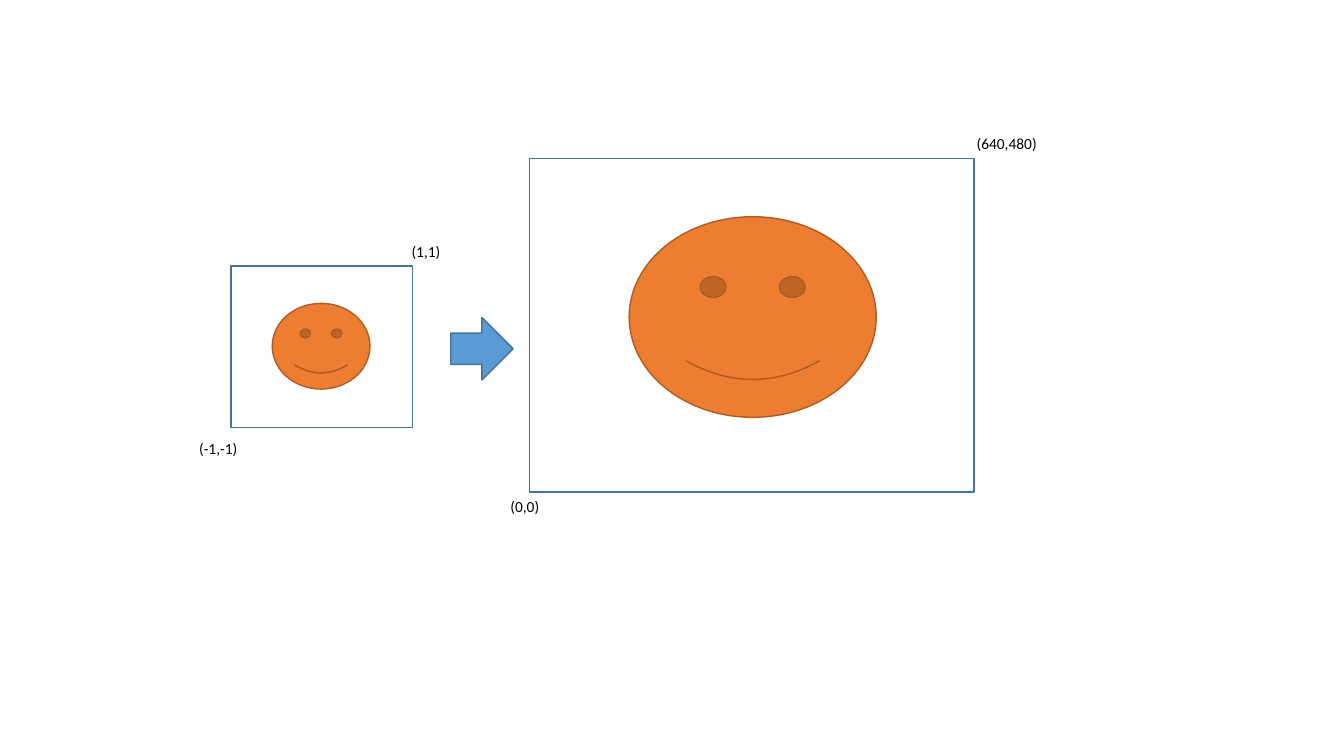
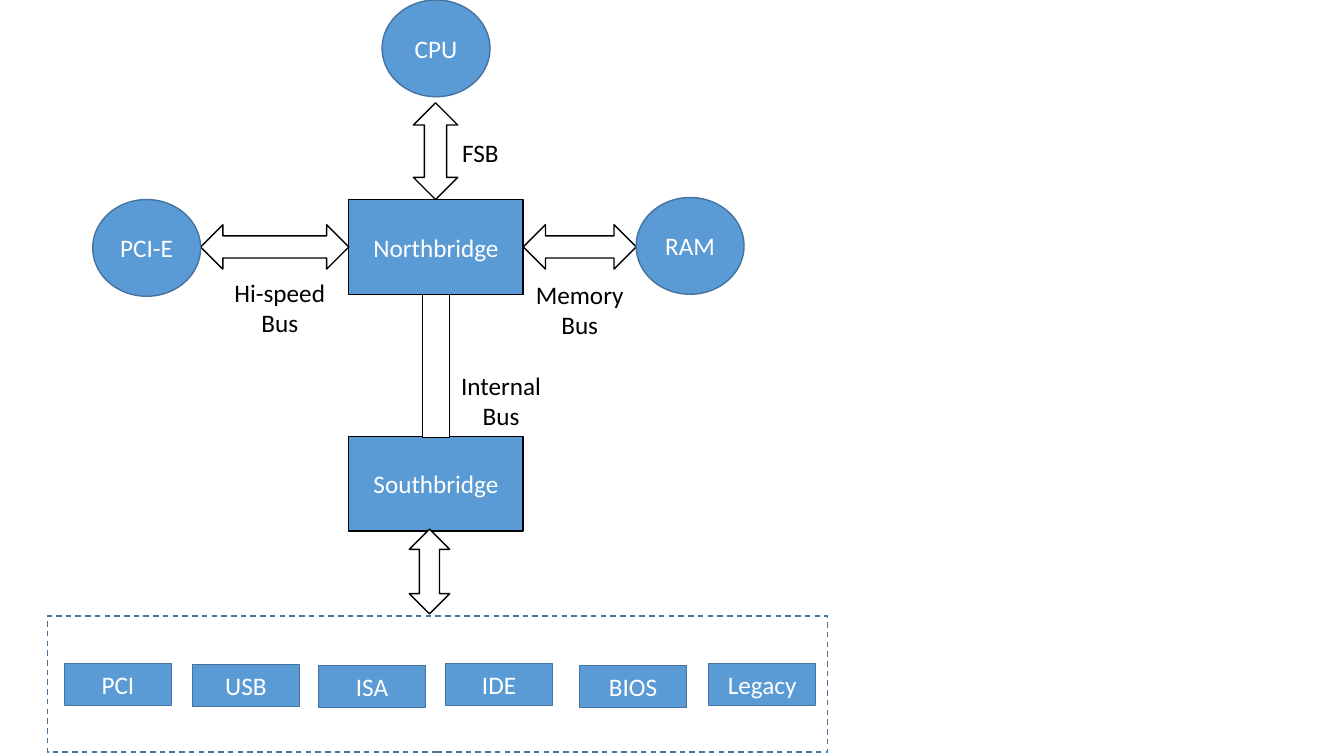
"""Builds two slides: a viewport mapping and a chipset diagram."""
from pptx import Presentation
from pptx.dml.color import RGBColor
from pptx.enum.dml import MSO_LINE
from pptx.enum.shapes import MSO_SHAPE as Kind
from pptx.enum.text import MSO_ANCHOR, MSO_AUTO_SIZE, PP_ALIGN
from pptx.util import Pt

PX = 9144
FONT = "Calibri"
BLUE, NAVY = "5B9BD5", "43739E"
ORANGE, RUST = "ED7D31", "AF5C24"
BLACK, WHITE = "000000", "FFFFFF"
rgb = RGBColor.from_string


def write(frame, text, size=18, color=BLACK, wrap=False):
    """Fill a text frame with centred lines."""
    frame.text = text
    frame.word_wrap = wrap
    if not wrap:
        frame.auto_size = MSO_AUTO_SIZE.SHAPE_TO_FIT_TEXT
    for para in frame.paragraphs:
        para.alignment = PP_ALIGN.CENTER
        para.font.name = FONT
        para.font.size = Pt(size)
        para.font.color.rgb = rgb(color)


def draw(slide, kind, box, fill=None, line=NAVY, text=None):
    """Add a preset shape, with white text if given."""
    shape = slide.shapes.add_shape(kind, *[n * PX for n in box])
    shape.shadow.inherit = False
    if fill:
        shape.fill.solid()
        shape.fill.fore_color.rgb = rgb(fill)
    else:
        shape.fill.background()
    shape.line.color.rgb = rgb(line)
    shape.line.width = Pt(1)
    if text:
        write(shape.text_frame, text, color=WHITE, wrap=True)
        shape.text_frame.vertical_anchor = MSO_ANCHOR.MIDDLE
    return shape


deck = Presentation()
deck.slide_width, deck.slide_height = 1333 * PX, 750 * PX
blank = deck.slide_layouts[6]
view = deck.slides.add_slide(blank)
chips = deck.slides.add_slide(blank)

for frame, face in [
    ((229, 264, 180, 160), (270, 301, 97, 85)),
    ((525, 157, 441, 331), (624, 215, 245, 199)),
]:
    draw(view, Kind.RECTANGLE, frame)
    draw(view, Kind.SMILEY_FACE, face, ORANGE, RUST)
draw(view, Kind.RIGHT_ARROW, (447, 315, 62, 62), BLUE)

for name, top in [("Northbridge", 198), ("Southbridge", 433)]:
    draw(chips, Kind.RECTANGLE, (346, top, 173, 94), BLUE, BLACK, name)

for kind, box in [
    (Kind.LEFT_RIGHT_ARROW, (519, 223, 112, 44)),
    (Kind.LEFT_RIGHT_ARROW, (199, 223, 147, 44)),
    (Kind.UP_DOWN_ARROW, (410, 102, 44, 96)),
    (Kind.RECTANGLE, (419, 292, 27, 142)),
    (Kind.UP_DOWN_ARROW, (406, 525, 40, 84)),
]:
    draw(chips, kind, box, WHITE, BLACK)

for name, left, top in [("PCI-E", 92, 198), ("RAM", 631, 196), ("CPU", 379, 0)]:
    draw(chips, Kind.OVAL, (left, top, 107, 96), BLUE, text=name)

group = draw(chips, Kind.RECTANGLE, (47, 611, 774, 135))
group.line.dash_style = MSO_LINE.DASH
for name, left, top in [
    ("PCI", 64, 658),
    ("USB", 191, 659),
    ("ISA", 316, 660),
    ("IDE", 442, 658),
    ("BIOS", 575, 660),
    ("Legacy", 703, 658),
]:
    draw(chips, Kind.RECTANGLE, (left, top, 106, 42), BLUE, text=name)

for slide, size, text, box in [
    (view, 11, "(-1,-1)", (187, 431, 59, 29)),
    (view, 11, "(1,1)", (398, 235, 49, 29)),
    (view, 11, "(0,0)", (496, 488, 49, 29)),
    (view, 11, "(640,480)", (958, 128, 81, 29)),
    (chips, 18, "FSB", (448, 131, 57, 40)),
    (chips, 18, "Internal\nBus", (444, 362, 106, 71)),
    (chips, 18, "Hi-speed\nBus", (219, 270, 117, 71)),
    (chips, 18, "Memory\nBus", (521, 272, 108, 71)),
]:
    label = slide.shapes.add_textbox(*[n * PX for n in box])
    write(label.text_frame, text, size)

deck.save("out.pptx")
